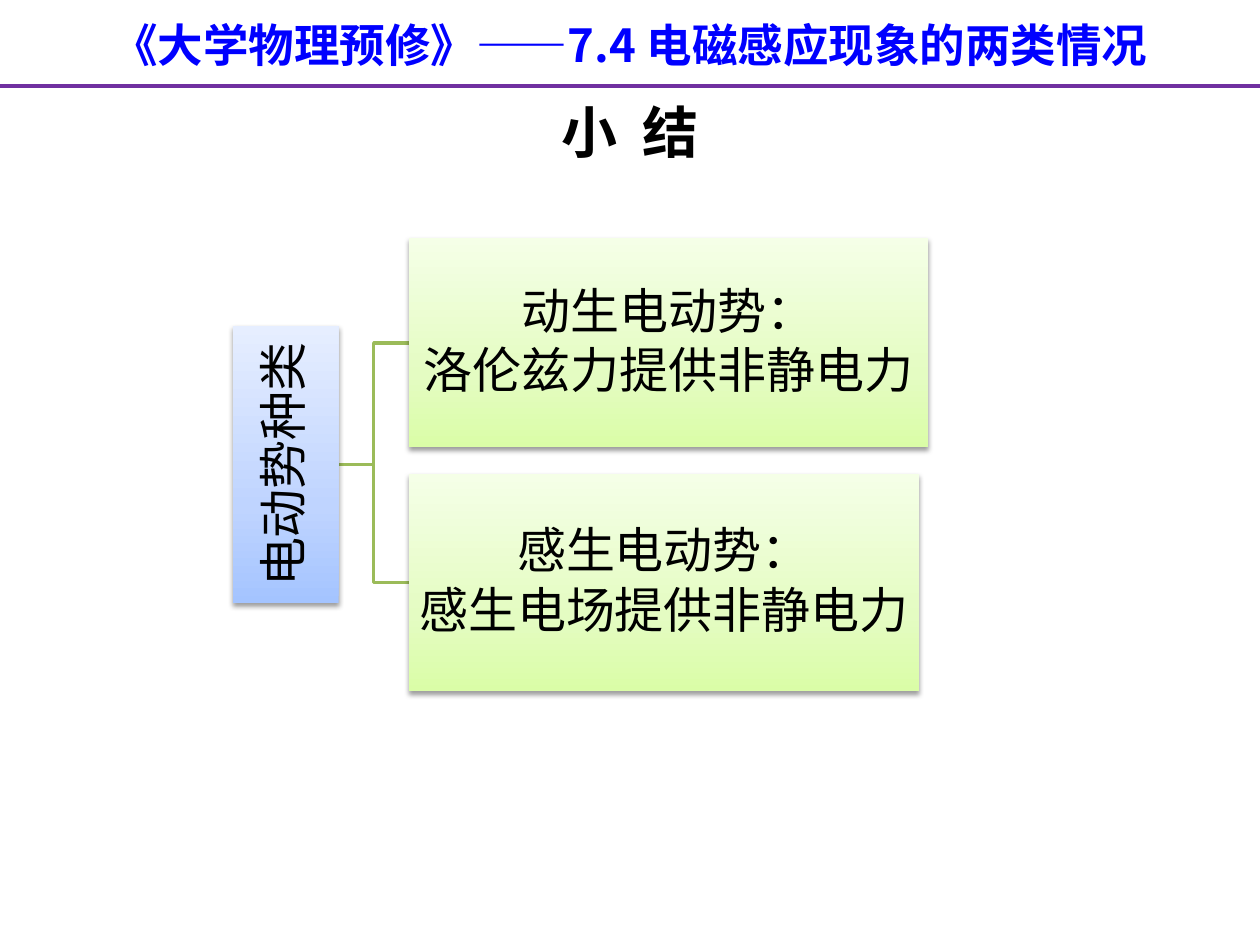
import lxml.etree
import pptx
import pptx.dml.color
import pptx.enum.shapes
import pptx.enum.text
import pptx.oxml
import pptx.oxml.ns
import pptx.util

Cm = pptx.util.Cm
Pt = pptx.util.Pt
FONT = "Noto Sans CJK SC"
BLUE_STOPS = ((0, "A4C4FF"), (35, "BFD4FF"), (100, "E6EEFF"))
GREEN_STOPS = ((0, "DAFDA7"), (35, "E4FCC2"), (100, "F5FFE7"))
NAMESPACE = pptx.oxml.ns.nsdecls("a")


def color(value):
    return pptx.dml.color.RGBColor.from_string(value)


def write_text(shape, lines, size, value="000000", bold=False, inset=None):
    frame = shape.text_frame
    frame.word_wrap = True
    frame.vertical_anchor = pptx.enum.text.MSO_ANCHOR.MIDDLE
    if inset is not None:
        frame.margin_left = frame.margin_right = inset
        frame.margin_top = frame.margin_bottom = inset
    frame.text = "\n".join(lines)
    for paragraph in frame.paragraphs:
        paragraph.alignment = pptx.enum.text.PP_ALIGN.CENTER
        font = paragraph.font
        font.name = FONT
        font.size = Pt(size)
        font.bold = bold
        font.color.rgb = color(value)
        east_asian = lxml.etree.SubElement(font._element, pptx.oxml.ns.qn("a:ea"))
        east_asian.set("typeface", FONT)


def style_card(shape, stops):
    shape.line.fill.background()
    stop_xml = "".join(
        f'<a:gs pos="{position * 1000}"><a:srgbClr val="{value}"/></a:gs>'
        for position, value in stops
    )
    gradient = pptx.oxml.parse_xml(
        f'<a:gradFill {NAMESPACE} rotWithShape="0"><a:gsLst>{stop_xml}</a:gsLst>'
        '<a:lin ang="16200000" scaled="0"/></a:gradFill>'
    )
    shadow = pptx.oxml.parse_xml(
        f'<a:effectLst {NAMESPACE}><a:outerShdw blurRad="{Pt(3.1)}" dist="{Pt(1.6)}" '
        'dir="5400000" rotWithShape="0"><a:srgbClr val="000000">'
        '<a:alpha val="38000"/></a:srgbClr></a:outerShdw></a:effectLst>'
    )
    properties = shape._element.spPr
    properties.find(pptx.oxml.ns.qn("a:prstGeom")).addnext(gradient)
    properties.append(shadow)


def add_card(slide, left, top, width, height, lines, stops, rotation=0):
    rectangle = pptx.enum.shapes.MSO_SHAPE.RECTANGLE
    card = slide.shapes.add_shape(rectangle, left, top, width, height)
    card.rotation = rotation
    style_card(card, stops)
    write_text(card, lines, 28, inset=Cm(0.05))
    for paragraph in card.text_frame.paragraphs:
        paragraph.line_spacing = 0.9
        paragraph.space_after = Pt(3.5)


def add_branch(slide, start_x, start_y, end_x, end_y):
    middle_x = (start_x + end_x) // 2
    builder = slide.shapes.build_freeform(start_x, start_y)
    builder.add_line_segments(
        [(middle_x, start_y), (middle_x, end_y), (end_x, end_y)], close=False
    )
    branch = builder.convert_to_shape()
    branch.shadow.inherit = False
    branch.fill.background()
    branch.line.color.rgb = color("9BBB59")
    branch.line.width = Pt(2)


def add_header(slide, left, top, width, height):
    heading = slide.shapes.add_textbox(left, top + Cm(0.2), width, Cm(1.37))
    write_text(heading, ["《大学物理预修》——7.4 电磁感应现象的两类情况"], 26, "0000FF", True)
    bottom = top + height
    rule = slide.shapes.add_connector(
        pptx.enum.shapes.MSO_CONNECTOR.STRAIGHT, left, bottom, left + width, bottom
    )
    rule.line.color.rgb = color("7030A0")
    rule.line.width = Pt(2.25)
    lxml.etree.SubElement(rule._element.spPr, pptx.oxml.ns.qn("a:effectLst"))


def add_title(slide, left, top, width, height):
    title = slide.shapes.add_textbox(left, top, width, height)
    write_text(title, ["小  结"], 32, bold=True)


def add_tree(slide, left, top, width, height):
    root_length, root_thickness = Cm(5.59), Cm(2.13)
    center_y = top + height // 2
    root_right = left + root_thickness
    child_left = root_right + Cm(1.41)
    upper_height, lower_height = Cm(4.22), Cm(4.37)
    children = (
        (top, width - (child_left - left), upper_height,
         ["动生电动势：", "洛伦兹力提供非静电力"]),
        (top + height - lower_height, Cm(10.29), lower_height,
         ["感生电动势：", "感生电场提供非静电力"]),
    )
    for child_top, child_width, child_height, lines in children:
        add_branch(slide, root_right, center_y, child_left, child_top + child_height // 2)
    add_card(
        slide,
        left + (root_thickness - root_length) // 2,
        center_y - root_thickness // 2,
        root_length, root_thickness, ["电动势种类"], BLUE_STOPS, 270,
    )
    for child_top, child_width, child_height, lines in children:
        add_card(slide, child_left, child_top, child_width, child_height, lines, GREEN_STOPS)


def main():
    presentation = pptx.Presentation()
    presentation.slide_width = Cm(25.4)
    presentation.slide_height = Cm(19.05)
    slide = presentation.slides.add_slide(presentation.slide_layouts[6])
    add_header(slide, 0, 0, presentation.slide_width, Cm(1.73))
    add_title(slide, Cm(1.27), Cm(1.75), Cm(22.86), Cm(1.78))
    add_tree(slide, Cm(4.7), Cm(4.8), Cm(14.01), Cm(9.13))
    presentation.save("out.pptx")


if __name__ == "__main__":
    main()
